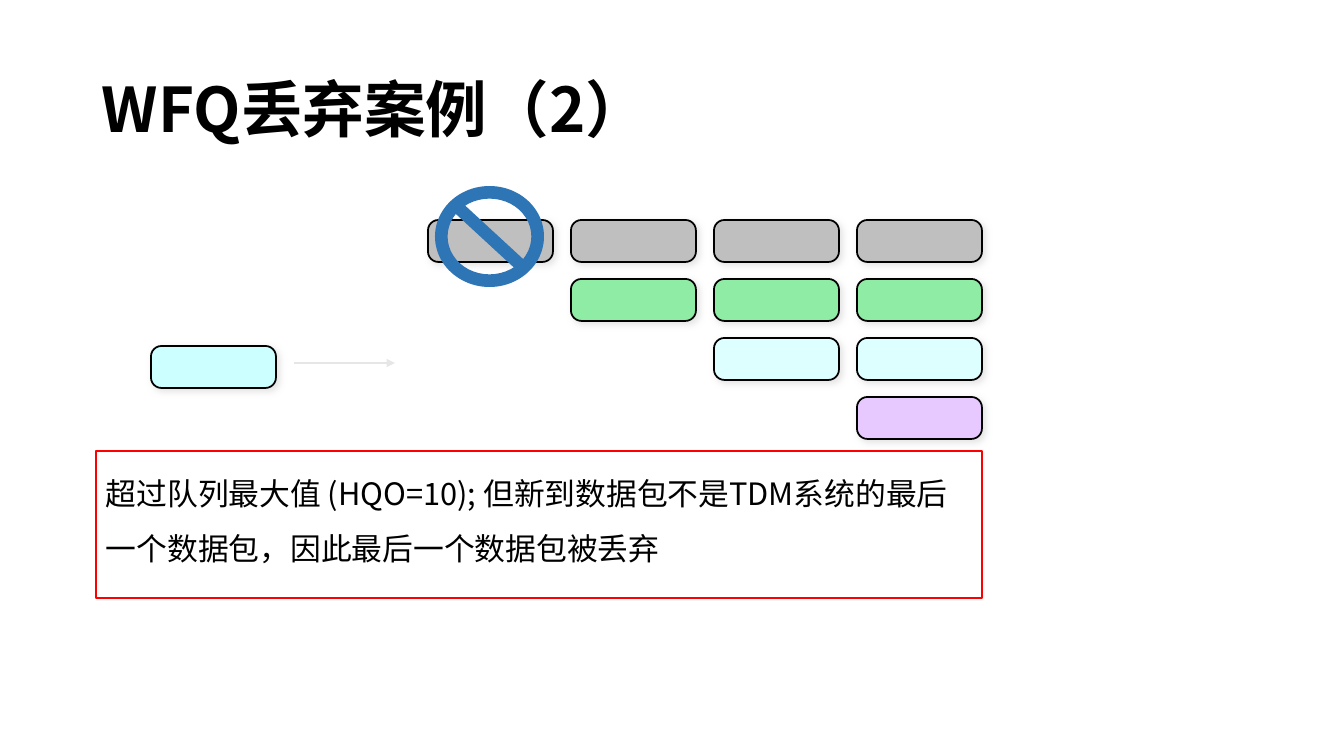
from lxml import etree
from pptx import Presentation
from pptx.dml.color import RGBColor
from pptx.enum.shapes import MSO_CONNECTOR, MSO_SHAPE
from pptx.enum.text import MSO_ANCHOR, PP_ALIGN
from pptx.oxml.ns import qn
from pptx.util import Pt

ROUNDED = MSO_SHAPE.ROUNDED_RECTANGLE
RECTANGLE = MSO_SHAPE.RECTANGLE
NO_SYMBOL = MSO_SHAPE.NO_SYMBOL
STRAIGHT = MSO_CONNECTOR.STRAIGHT
LEFT = PP_ALIGN.LEFT
TOP = MSO_ANCHOR.TOP
MIDDLE = MSO_ANCHOR.MIDDLE

BLACK = RGBColor(0x00, 0x00, 0x00)
RED = RGBColor(0xFF, 0x00, 0x00)
GRAY = RGBColor(0xBF, 0xBF, 0xBF)
GREEN = RGBColor(0x8E, 0xEC, 0xA4)
PALE_CYAN = RGBColor(0xDD, 0xFF, 0xFF)
CYAN = RGBColor(0xCC, 0xFF, 0xFF)
PURPLE = RGBColor(0xE7, 0xC9, 0xFF)
BLUE = RGBColor(0x2E, 0x75, 0xB6)
SILVER = RGBColor(0xE7, 0xE6, 0xE6)

TITLE = "WFQ丢弃案例（2）"
NOTE = "超过队列最大值 (HQO=10); 但新到数据包不是TDM系统的最后一个数据包，因此最后一个数据包被丢弃"
QUEUES = [(GRAY, 4), (GREEN, 3), (PALE_CYAN, 2), (PURPLE, 1)]

PX = 914400 / 100.8
SLIDE_SIZE = (1344, 756)
TITLE_AREA = (92, 40, 1159, 146)
NOTE_AREA = (96, 451, 886, 147)
DROP_SIGN = (435, 186, 109, 101)
ARRIVING = (151, 346)
ARROW = (294, 363, 395, 363)
PACKET_SIZE = (125, 42)
QUEUE_HEAD = (857, 220)
PITCH = (143, 59)


def emu(lengths):
    return [round(length * PX) for length in lengths]


def add_shadow(shape):
    effects = etree.SubElement(shape._element.spPr, qn("a:effectLst"))
    shadow = etree.SubElement(effects, qn("a:outerShdw"), blurRad=str(Pt(5)),
                              dist=str(Pt(2.8)), dir="2700000", algn="ctr", rotWithShape="0")
    etree.SubElement(shadow, qn("a:srgbClr"), val=str(SILVER))


def add_packet(page, left, top, color):
    packet = page.shapes.add_shape(ROUNDED, *emu((left, top, *PACKET_SIZE)))
    packet.adjustments[0] = 0.25
    packet.fill.solid()
    packet.fill.fore_color.rgb = color
    packet.line.color.rgb = BLACK
    packet.line.width = Pt(1.25)
    add_shadow(packet)


def write(box, text, size, font, spacing, anchor, bold=False):
    frame = box.text_frame
    frame.word_wrap = True
    frame.vertical_anchor = anchor
    frame.text = text
    para = frame.paragraphs[0]
    para.alignment = LEFT
    para.line_spacing = spacing
    span = para.runs[0]
    span.font.size = Pt(size)
    span.font.bold = bold
    span.font.name = font
    span.font.color.rgb = BLACK
    etree.SubElement(span.font._element, qn("a:ea"), typeface=font)


def add_arrow(page):
    arrow = page.shapes.add_connector(STRAIGHT, *emu(ARROW))
    arrow.line.color.rgb = SILVER
    arrow.line.width = Pt(1.5)
    etree.SubElement(arrow.line._get_or_add_ln(), qn("a:tailEnd"), type="triangle")
    etree.SubElement(arrow._element.spPr, qn("a:effectLst"))


def add_drop_sign(page):
    sign = page.shapes.add_shape(NO_SYMBOL, *emu(DROP_SIGN))
    sign.adjustments[0] = 0.125
    sign.shadow.inherit = False
    sign.fill.solid()
    sign.fill.fore_color.rgb = BLUE
    sign.line.fill.background()


def add_note(page):
    note = page.shapes.add_shape(RECTANGLE, *emu(NOTE_AREA))
    note.shadow.inherit = False
    note.fill.background()
    note.line.color.rgb = RED
    note.line.width = Pt(1.5)
    write(note, NOTE, 22, "Noto Sans CJK JP", 1.5, TOP)


def main():
    deck = Presentation()
    deck.slide_width, deck.slide_height = emu(SLIDE_SIZE)
    page = deck.slides.add_slide(deck.slide_layouts[6])
    title = page.shapes.add_textbox(*emu(TITLE_AREA))
    write(title, TITLE, 44, "Noto Sans CJK SC", 0.9, MIDDLE, bold=True)
    for row, (color, count) in enumerate(QUEUES):
        for place in range(count):
            add_packet(page, QUEUE_HEAD[0] - place * PITCH[0], QUEUE_HEAD[1] + row * PITCH[1], color)
    add_arrow(page)
    add_drop_sign(page)
    add_packet(page, *ARRIVING, CYAN)
    add_note(page)
    deck.save("out.pptx")


if __name__ == "__main__":
    main()
